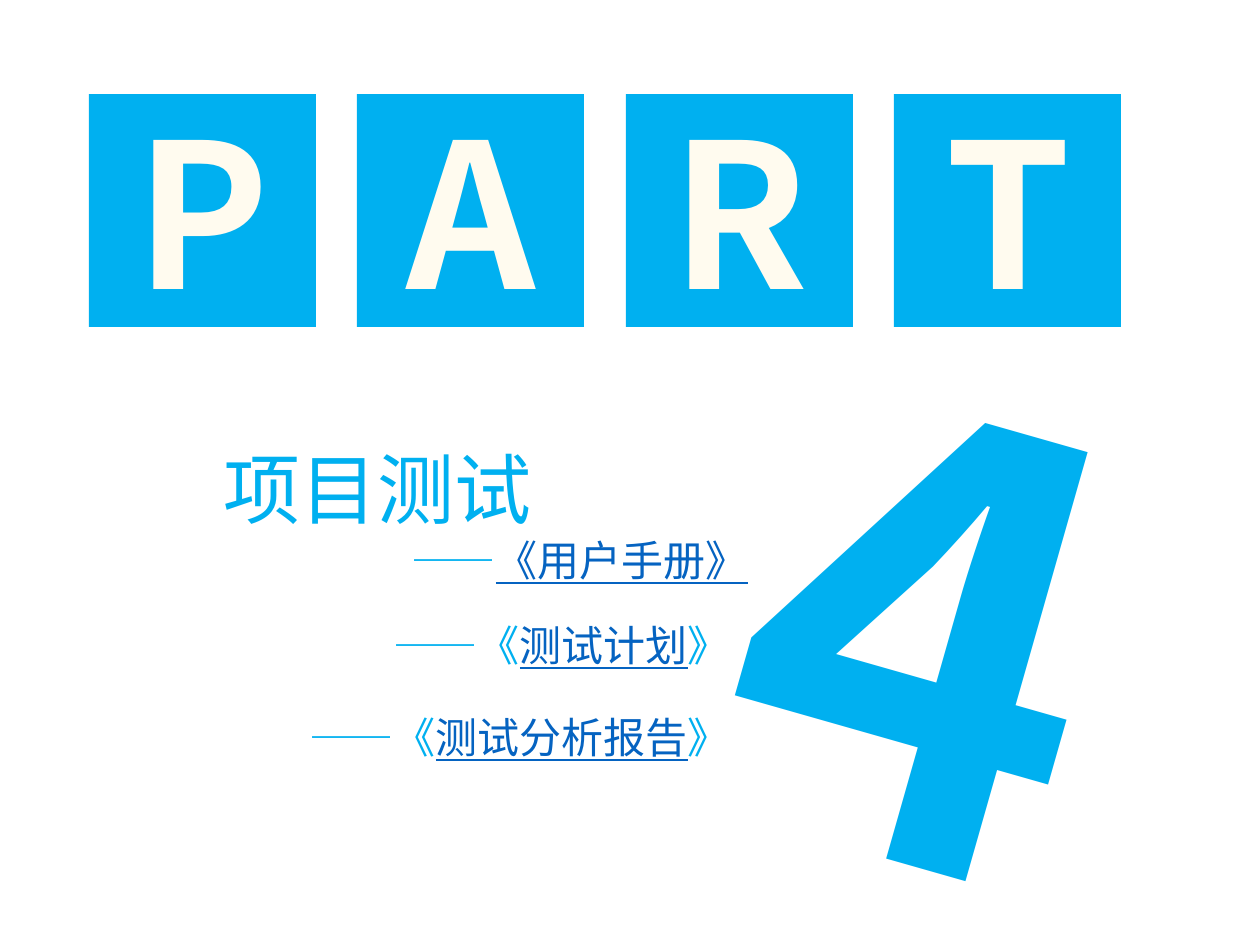
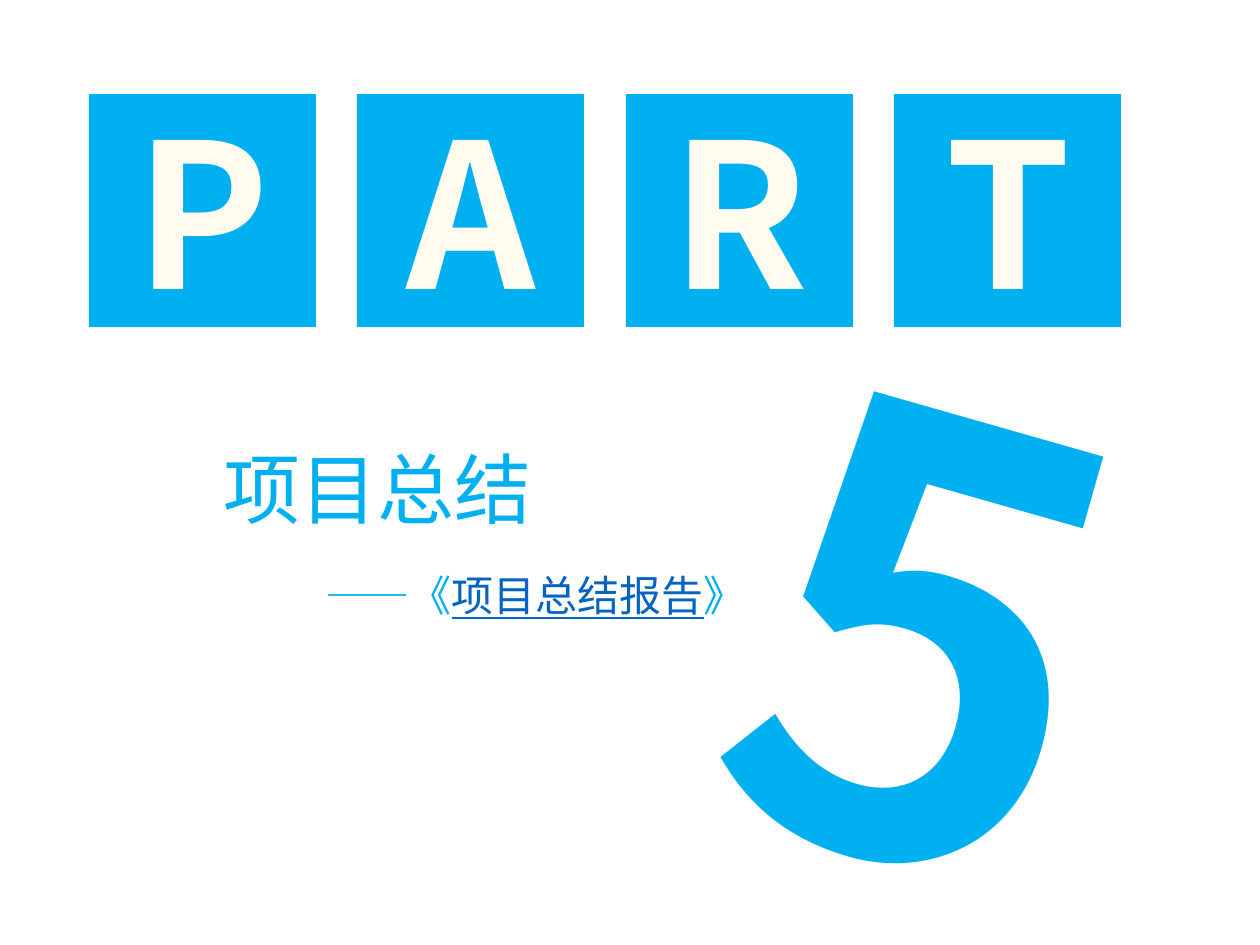
from dataclasses import dataclass

import pptx
import pptx.dml.color
import pptx.enum.shapes
import pptx.enum.text
import pptx.oxml.ns
import pptx.util
from lxml import etree

PX = 914400 // 126
ALIGN = pptx.enum.text.PP_ALIGN


@dataclass(frozen=True)
class Theme:
    font: str = "Noto Sans CJK SC"
    accent: str = "00B0F0"
    cream: str = "FFFBEF"
    link: str = "0563C1"
    item_pt: int = 24
    heading_pt: int = 44
    letter_pt: int = 115
    number_pt: int = 344


THEME = Theme()


def rgb(color):
    return pptx.dml.color.RGBColor.from_string(color)


def place(sp, left, top, width, height):
    sp.left, sp.top, sp.width, sp.height = (n * PX for n in (left, top, width, height))


def prepare_frame(sp):
    tf = sp.text_frame
    tf.word_wrap = True
    tf.auto_size = pptx.enum.text.MSO_AUTO_SIZE.NONE
    tf.vertical_anchor = pptx.enum.text.MSO_ANCHOR.TOP
    tf.margin_left = tf.margin_right = tf.margin_top = tf.margin_bottom = 0
    return tf.paragraphs[0]


def style(p, size, color, align, bold=False):
    p.alignment = align
    font = p.font
    font.name, font.size, font.bold = THEME.font, pptx.util.Pt(size), bold
    font.color.rgb = rgb(color)
    def_rpr = p._p.pPr.find(pptx.oxml.ns.qn("a:defRPr"))
    ea = etree.SubElement(def_rpr, pptx.oxml.ns.qn("a:ea"))
    ea.set("typeface", THEME.font)


def add_text(shapes, box):
    sp = shapes.add_textbox(0, 0, 0, 0)
    place(sp, *box)
    return sp, prepare_frame(sp)


def add_letter_tiles(slide, word):
    group = slide.shapes.add_group_shape()
    for i, letter in enumerate(word):
        left = round(89 + 268.4 * i)
        tile = group.shapes.add_shape(pptx.enum.shapes.MSO_SHAPE.RECTANGLE, 0, 0, 0, 0)
        place(tile, left, 94, 227, 233)
        tile.shadow.inherit = False
        tile.fill.solid()
        tile.fill.fore_color.rgb = rgb(THEME.accent)
        tile.line.fill.background()
        sp, p = add_text(group.shapes, (left + 36, 88, 156, 257))
        p.text = letter
        style(p, THEME.letter_pt, THEME.cream, ALIGN.CENTER, True)


def add_number(slide, number):
    sp, p = add_text(slide.shapes, (750, 258, 343, 730))
    sp.rotation = 16
    p.text = number
    style(p, THEME.number_pt, THEME.accent, ALIGN.LEFT, True)


def set_heading(slide, heading):
    title = slide.shapes.title
    place(title, 0, 442, 756, 96)
    p = prepare_frame(title)
    p.text = heading
    style(p, THEME.heading_pt, THEME.accent, ALIGN.CENTER)


def add_document(slide, right, top, before, linked, after):
    sp, p = add_text(slide.shapes, (right - 500, top, 500, 61))
    style(p, THEME.item_pt, THEME.accent, ALIGN.RIGHT)
    for text, is_link in ((before, False), (linked, True), (after, False)):
        if text:
            r = p.add_run()
            r.text = text
            r.font.underline = is_link
            r.font.color.rgb = rgb(THEME.link if is_link else THEME.accent)


def add_part(prs, number, heading, documents):
    slide = prs.slides.add_slide(prs.slide_layouts[5])
    add_number(slide, number)
    add_letter_tiles(slide, "PART")
    set_heading(slide, heading)
    for document in documents:
        add_document(slide, *document)


def main():
    prs = pptx.Presentation()
    prs.slide_width = 1260 * PX
    prs.slide_height = 945 * PX
    add_part(prs, "4", "项目测试", [
        (748, 535, "——", "《用户手册》", ""),
        (730, 620, "——《", "测试计划", "》"),
        (730, 712, "——《", "测试分析报告", "》"),
    ])
    add_part(prs, "5", "项目总结", [
        (746, 570, "——《", "项目总结报告", "》"),
    ])
    prs.save("out.pptx")


if __name__ == "__main__":
    main()
